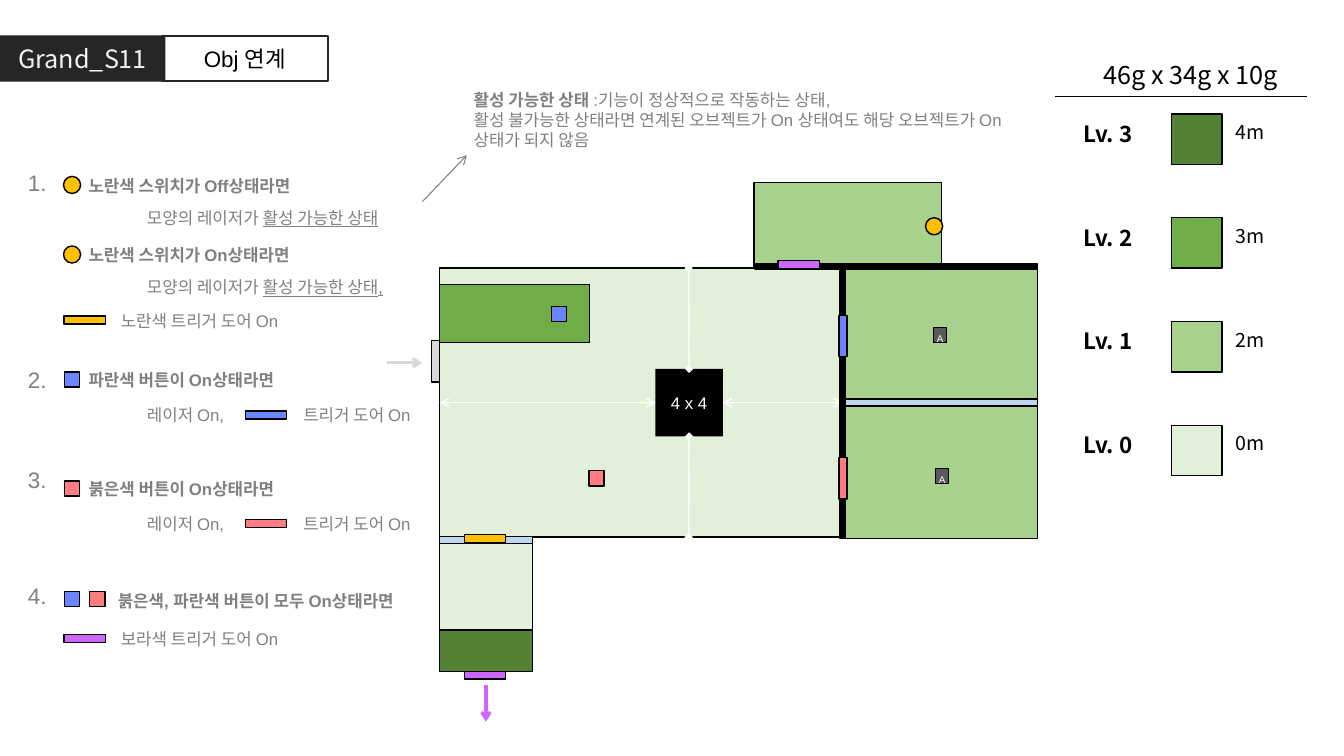
from lxml import etree
from pptx import Presentation
from pptx.dml.color import RGBColor
from pptx.enum.shapes import MSO_CONNECTOR, MSO_SHAPE
from pptx.enum.text import MSO_ANCHOR, MSO_AUTO_SIZE, PP_ALIGN
from pptx.oxml.ns import qn
from pptx.util import Inches, Pt

RECT, OVAL = MSO_SHAPE.RECTANGLE, MSO_SHAPE.OVAL
STRAIGHT = MSO_CONNECTOR.STRAIGHT
LEFT, CENTER, RIGHT = PP_ALIGN.LEFT, PP_ALIGN.CENTER, PP_ALIGN.RIGHT
TOP, MIDDLE = MSO_ANCHOR.TOP, MSO_ANCHOR.MIDDLE
NO_FIT, GROW = MSO_AUTO_SIZE.NONE, MSO_AUTO_SIZE.SHAPE_TO_FIT_TEXT

ARIAL, NOTO = "Arial", "Noto Sans CJK KR"
BLACK, WHITE, GRAY, SILVER, DARK = "000000", "FFFFFF", "808080", "D9D9D9", "262626"
LEVEL_0, LEVEL_1, LEVEL_2, LEVEL_3 = "E2F0D9", "A9D18E", "70AD47", "548235"
BLUE, RED, YELLOW, PURPLE, GLASS = "6986FF", "FF7C80", "FFC000", "CC66FF", "BDD7EE"


def color(code):
    """Turn a hex string into a colour."""
    return RGBColor.from_string(code)


def inches(*lengths):
    """Convert several lengths to slide units."""
    return [Inches(length) for length in lengths]


def add_span(para, text, size, code=GRAY, font=ARIAL, bold=False, underline=False):
    """Add one formatted run to a paragraph."""
    span = para.add_run()
    span.text = text
    span.font.size = Pt(size)
    span.font.name = font
    span.font.bold = bold
    span.font.underline = underline
    span.font.color.rgb = color(code)
    east_asian = etree.SubElement(span.font._element, qn("a:ea"))
    east_asian.set("typeface", NOTO)


def add_shape(page, left, top, width, height, fill=None, kind=RECT, line=BLACK, weight=1):
    """Add a preset shape with a flat fill and outline."""
    shape = page.shapes.add_shape(kind, *inches(left, top, width, height))
    shape.shadow.inherit = False
    if fill:
        shape.fill.solid()
        shape.fill.fore_color.rgb = color(fill)
    else:
        shape.fill.background()
    if line:
        shape.line.color.rgb = color(line)
        shape.line.width = Pt(weight)
    else:
        shape.line.fill.background()
    return shape


def set_label(shape, text, size, code, font=ARIAL, align=CENTER, anchor=MIDDLE):
    """Write a single line inside a shape."""
    frame = shape.text_frame
    frame.vertical_anchor = anchor
    para = frame.paragraphs[0]
    para.alignment = align
    add_span(para, text, size, code, font)


def add_text(page, left, top, width, height, *spans, align=LEFT, size=12, code=GRAY, font=ARIAL):
    """Add a text box of (text, bold, underline) spans and return its first paragraph."""
    box = page.shapes.add_textbox(*inches(left, top, width, height))
    box.text_frame.word_wrap = True
    box.text_frame.auto_size = GROW
    para = box.text_frame.paragraphs[0]
    para.alignment = align
    for text, bold, underline in spans:
        add_span(para, text, size, code, font, bold, underline)
    return box


def add_line(page, start, end, code, weight=1, head=None, tail=None):
    """Add a straight line with optional end markers."""
    line = page.shapes.add_connector(STRAIGHT, *inches(*start, *end))
    line.line.color.rgb = color(code)
    line.line.width = Pt(weight)
    outline = line.line._get_or_add_ln()
    for tag, marker in (("a:headEnd", head), ("a:tailEnd", tail)):
        if marker:
            etree.SubElement(outline, qn(tag)).set("type", marker)
    etree.SubElement(line._element.spPr, qn("a:effectLst"))
    return line


def add_door(page, left, top, fill, rotation=0):
    """Add a trigger door."""
    add_shape(page, left, top, 0.08, 0.41, fill).rotation = rotation


def add_button(page, left, top, fill):
    """Add a square button."""
    add_shape(page, left, top, 0.15, 0.15, fill)


def add_switch(page, left, top):
    """Add a round yellow switch."""
    add_shape(page, left, top, 0.17, 0.17, YELLOW, OVAL)


def add_caption(page, left, top, *spans):
    """Add one line of the rules on the left."""
    return add_text(page, left, top, 4.1, 0.3, *spans)


def add_header(page):
    """Fill the title placeholder and the tab beside it."""
    title = page.shapes.title
    title.left, title.top, title.width, title.height = inches(0, 0.35, 1.64, 0.46)
    title.fill.solid()
    title.fill.fore_color.rgb = color(DARK)
    title.text_frame.auto_size = NO_FIT
    set_label(title, "Grand_S11", 18, "F2F2F2", NOTO)
    tab = add_shape(page, 1.61, 0.36, 1.64, 0.44, line=DARK, weight=1.5)
    set_label(tab, "Obj 연계", 16, BLACK)


def add_legend(page):
    """Add the map size and the height of each level."""
    add_line(page, (10.46, 0.96), (12.96, 0.96), BLACK)
    add_text(page, 10.71, 0.54, 2.2, 0.4, ("46g x 34g x 10g", False, False),
             align=CENTER, size=18, code=BLACK, font=NOTO)
    levels = (("Lv. 3", LEVEL_3, "4m"), ("Lv. 2", LEVEL_2, "3m"),
              ("Lv. 1", LEVEL_1, "2m"), ("Lv. 0", LEVEL_0, "0m"))
    for row, (name, fill, height) in enumerate(levels):
        top = 1.13 + 1.03 * row
        add_shape(page, 11.62, top, 0.5, 0.5, fill)
        add_text(page, 10.65, top + 0.01, 1.07, 0.36, (name, True, False),
                 size=16, code=BLACK, font=NOTO)
        add_text(page, 12.16, top + 0.01, 0.71, 0.33, (height, False, False),
                 size=14, code=BLACK, font=NOTO)


def add_map(page):
    """Draw the rooms, walls, doors and lasers."""
    add_shape(page, 7.48, 1.81, 1.86, 0.85, LEVEL_1)
    floor = add_shape(page, 4.36, 2.66, 4, 2.67, LEVEL_0)
    block = add_shape(page, 6.5, 3.66, 0.67, 0.67, BLACK, line=None)
    set_label(block, "4 x 4", 12, WHITE)
    upper = add_line(page, (6.83, 2.66), (6.83, 3.66), WHITE, 1, "diamond", "diamond")
    upper.end_connect(block, 0)
    lower = add_line(page, (6.83, 4.33), (6.83, 5.33), WHITE, 1, "diamond", "diamond")
    lower.begin_connect(block, 2)
    west = add_line(page, (4.36, 4), (6.5, 4), WHITE, 1, "arrow", "arrow")
    west.begin_connect(floor, 1)
    west.end_connect(block, 1)
    east = add_line(page, (7.17, 4), (8.36, 4), WHITE, 1, "arrow", "arrow")
    east.begin_connect(block, 3)
    east.end_connect(floor, 3)

    for top in (2.66, 4):
        add_shape(page, 8.36, top, 1.93, 1.34, LEVEL_1)
    add_shape(page, 4.36, 2.82, 1.49, 0.58, LEVEL_2)
    add_button(page, 5.84, 4.67, RED)
    add_button(page, 5.47, 3.04, BLUE)
    add_shape(page, 7.49, 2.62, 2.8, 0.05, BLACK)
    add_shape(page, 8.36, 3.96, 1.93, 0.07, GLASS)
    for left, top in ((9.26, 3.25), (9.28, 4.65)):
        marker = add_shape(page, left, top, 0.13, 0.15, "595959")
        set_label(marker, "A", 7, WHITE, align=LEFT, anchor=TOP)
    add_switch(page, 9.18, 2.16)
    add_door(page, 7.88, 2.42, PURPLE, 90)
    add_door(page, 4.28, 3.38, SILVER)
    add_door(page, 4.77, 6.49, PURPLE, 90)
    add_line(page, (3.84, 3.6), (4.19, 3.6), SILVER, 2.25, tail="arrow")
    add_line(page, (4.82, 6.8), (4.82, 7.16), PURPLE, 2.25, tail="arrow")
    add_shape(page, 4.36, 5.33, 0.92, 0.92, LEVEL_0)
    add_shape(page, 4.36, 6.25, 0.92, 0.41, LEVEL_3)
    add_shape(page, 4.36, 5.32, 0.92, 0.07, GLASS)
    add_door(page, 4.77, 5.14, YELLOW, 90)
    add_shape(page, 8.33, 2.67, 0.05, 2.67, BLACK)
    add_door(page, 8.32, 3.13, BLUE)
    add_door(page, 8.32, 4.54, RED)


def add_rules(page):
    """List the four rules that link switches, buttons and doors."""
    for number, top in enumerate((1.63, 3.58, 4.58, 5.73), 1):
        add_text(page, 0.06, top, 0.5, 0.37, (f"{number}.", False, False), align=RIGHT, size=16)
    for top, state, ending in ((1.69, "Off", ""), (2.38, "On", ",")):
        add_switch(page, 0.63, top + 0.06)
        add_caption(page, 0.78, top, (f"노란색 스위치가 {state}상태라면", True, False))
        add_caption(page, 1.36, top + 0.32, ("모양의 레이저가 ", False, False),
                    (f"활성 가능한 상태{ending}", False, True))
    for top, name, fill in ((3.62, "파란색", BLUE), (4.7, "붉은색", RED)):
        add_button(page, 0.64, top + 0.07, fill)
        add_caption(page, 0.78, top, (f"{name} 버튼이 On상태라면", True, False))
        result = add_caption(page, 1.36, top + 0.35, ("레이저 On,\t트리거 도어 On", False, False))
        properties = result.text_frame.paragraphs[0]._p.get_or_add_pPr()
        stops = etree.SubElement(properties, qn("a:tabLst"))
        etree.SubElement(stops, qn("a:tab"), pos=str(Inches(1.55)), algn="l")
        add_door(page, 2.6, top + 0.29, fill, 270)
    add_button(page, 0.64, 5.87, BLUE)
    add_button(page, 0.89, 5.87, RED)
    add_caption(page, 1.07, 5.81, ("붉은색, 파란색 버튼이 모두 On상태라면", True, False))
    for top, name, fill in ((3.03, "노란색", YELLOW), (6.19, "보라색", PURPLE)):
        add_door(page, 0.8, top - 0.06, fill, 270)
        add_caption(page, 1.1, top, (f"{name} 트리거 도어 On", False, False))


def add_note(page):
    """Explain the active state."""
    add_line(page, (4.19, 2), (4.63, 1.54), GRAY, 0.75, tail="arrow")
    note = add_text(page, 4.6, 0.84, 5.63, 0.71, ("활성 가능한 상태 ", True, False),
                    (":기능이 정상적으로 작동하는 상태,", False, False))
    add_span(note.text_frame.add_paragraph(),
             "활성 불가능한 상태라면 연계된 오브젝트가 On 상태여도 해당 오브젝트가 On 상태가 되지 않음", 12)


def main():
    """Build the slide and save it."""
    deck = Presentation()
    deck.slide_width, deck.slide_height = inches(13.33, 7.5)
    page = deck.slides.add_slide(deck.slide_layouts[5])
    add_header(page)
    add_legend(page)
    add_map(page)
    add_rules(page)
    add_note(page)
    deck.save("out.pptx")


if __name__ == "__main__":
    main()
